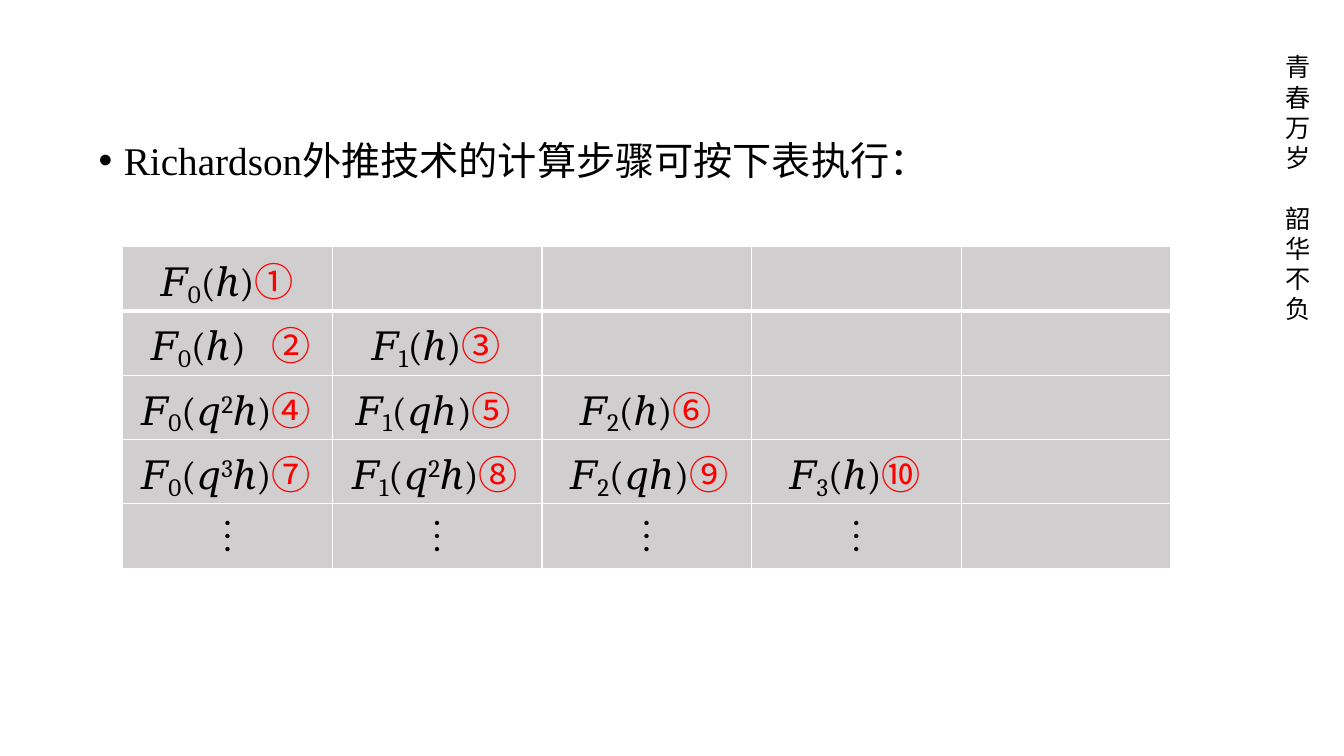
from lxml.etree import SubElement
from pptx import Presentation
from pptx.dml.color import RGBColor
from pptx.enum.text import MSO_ANCHOR, MSO_AUTO_SIZE, PP_ALIGN
from pptx.oxml.ns import qn
from pptx.util import Pt

BLACK, RED, GREY, WHITE = "000000", "FF0000", "D0CECE", "FFFFFF"
HAN, MATH, LATIN = "Noto Sans CJK SC", "Cambria", "Times New Roman"
STEPS = "①②③④⑤⑥⑦⑧⑨⑩"
INDENTS = [[27], [20, 28], [13, 16.5, 27], [13, 14, 20, 27]]
SIZE = 5
COLUMN_WIDTH, ROW_HEIGHT = 149.7, 46


def rgb(value):
    return RGBColor.from_string(value)


def style(font, name, size, color=BLACK, east_asian=HAN):
    font.name = name
    font.size = Pt(size)
    font.color.rgb = rgb(color)
    SubElement(font._rPr, qn("a:ea"), typeface=east_asian)


def set_insets(frame, top):
    frame.margin_left = frame.margin_right = frame.margin_bottom = 0
    frame.margin_top = Pt(top)
    frame.vertical_anchor = MSO_ANCHOR.TOP


def add_motto(slide, top, words):
    frame = slide.shapes.add_textbox(Pt(918), Pt(top), Pt(20.2), Pt(88.5)).text_frame
    frame.word_wrap = True
    set_insets(frame, 1)
    motto = frame.paragraphs[0]
    motto.text = words
    motto.alignment = PP_ALIGN.JUSTIFY
    motto.line_spacing = Pt(21.6)
    style(motto.font, HAN, 18)


def fill_bullet(body, words):
    body.left, body.top, body.width, body.height = Pt(69.8), Pt(95), Pt(594.7), Pt(70)
    frame = body.text_frame
    frame.auto_size = MSO_AUTO_SIZE.NONE
    frame.word_wrap = True
    set_insets(frame, 3)
    bullet = frame.paragraphs[0]
    bullet.text = words
    bullet.space_before = Pt(0)
    bullet.line_spacing = Pt(33)
    properties = bullet._p.get_or_add_pPr()
    properties.set("marL", str(Pt(18.7)))
    properties.set("indent", str(-Pt(18)))
    SubElement(properties, qn("a:buChar"), char="•")
    style(bullet.font, LATIN, 28)


def set_borders(cell, row):
    widths = {"L": 1, "R": 1, "T": 3 if row == 1 else 1, "B": 3 if row == 0 else 1}
    for side, width in widths.items():
        line = SubElement(cell._tc.get_or_add_tcPr(), qn(f"a:ln{side}"), w=str(Pt(width)))
        SubElement(SubElement(line, qn("a:solidFill")), qn("a:srgbClr"), val=WHITE)


def add_part(formula, words, name=MATH, size=28, color=BLACK, baseline=0):
    part = formula.add_run()
    part.text = words
    style(part.font, name, size, color, name)
    if baseline:
        part.font._rPr.set("baseline", str(baseline * 1000))


def write_formula(cell, row, order, indent):
    power = row - order
    formula = cell.text_frame.paragraphs[0]
    formula.line_spacing = Pt(35.5)
    formula._p.get_or_add_pPr().set("marL", str(Pt(indent)))
    add_part(formula, "𝐹")
    add_part(formula, str(order), size=30.8, baseline=-16)
    if power > 1:
        add_part(formula, "(𝑞")
        add_part(formula, str(power), size=30.8, baseline=27)
        add_part(formula, "ℎ)")
    else:
        add_part(formula, "(𝑞ℎ)" if power else "(ℎ)")
    add_part(formula, STEPS[row * (row + 1) // 2 + order], HAN, color=RED)


def write_dots(cell):
    dots = cell.text_frame.paragraphs[0]
    dots.text = "⋮"
    dots.alignment = PP_ALIGN.CENTER
    style(dots.font, MATH, 28, east_asian=MATH)


def add_extrapolation_table(slide):
    table = slide.shapes.add_table(SIZE, SIZE, Pt(87.8), Pt(176), Pt(SIZE * COLUMN_WIDTH),
                                   Pt(SIZE * ROW_HEIGHT)).table
    table.first_row = table.horz_banding = False
    for column in table.columns:
        column.width = Pt(COLUMN_WIDTH)
    for row in range(SIZE):
        table.rows[row].height = Pt(ROW_HEIGHT)
        for order in range(SIZE):
            cell = table.cell(row, order)
            set_insets(cell, 9.5 if row < SIZE - 1 else 8.7)
            set_borders(cell, row)
            cell.fill.solid()
            cell.fill.fore_color.rgb = rgb(GREY)
    for row, indents in enumerate(INDENTS):
        for order, indent in enumerate(indents):
            write_formula(table.cell(row, order), row, order, indent)
    for order in range(SIZE - 1):
        write_dots(table.cell(SIZE - 1, order))


def main():
    deck = Presentation()
    deck.slide_width, deck.slide_height = Pt(960), Pt(540)
    slide = deck.slides.add_slide(deck.slide_layouts[1])
    title, body = slide.placeholders
    title._element.getparent().remove(title._element)
    add_motto(slide, 36, "青 春 万 岁")
    add_motto(slide, 144, "韶 华 不 负")
    fill_bullet(body, "Richardson外推技术的计算步骤可按下表执行：")
    add_extrapolation_table(slide)
    deck.save("out.pptx")


if __name__ == "__main__":
    main()
